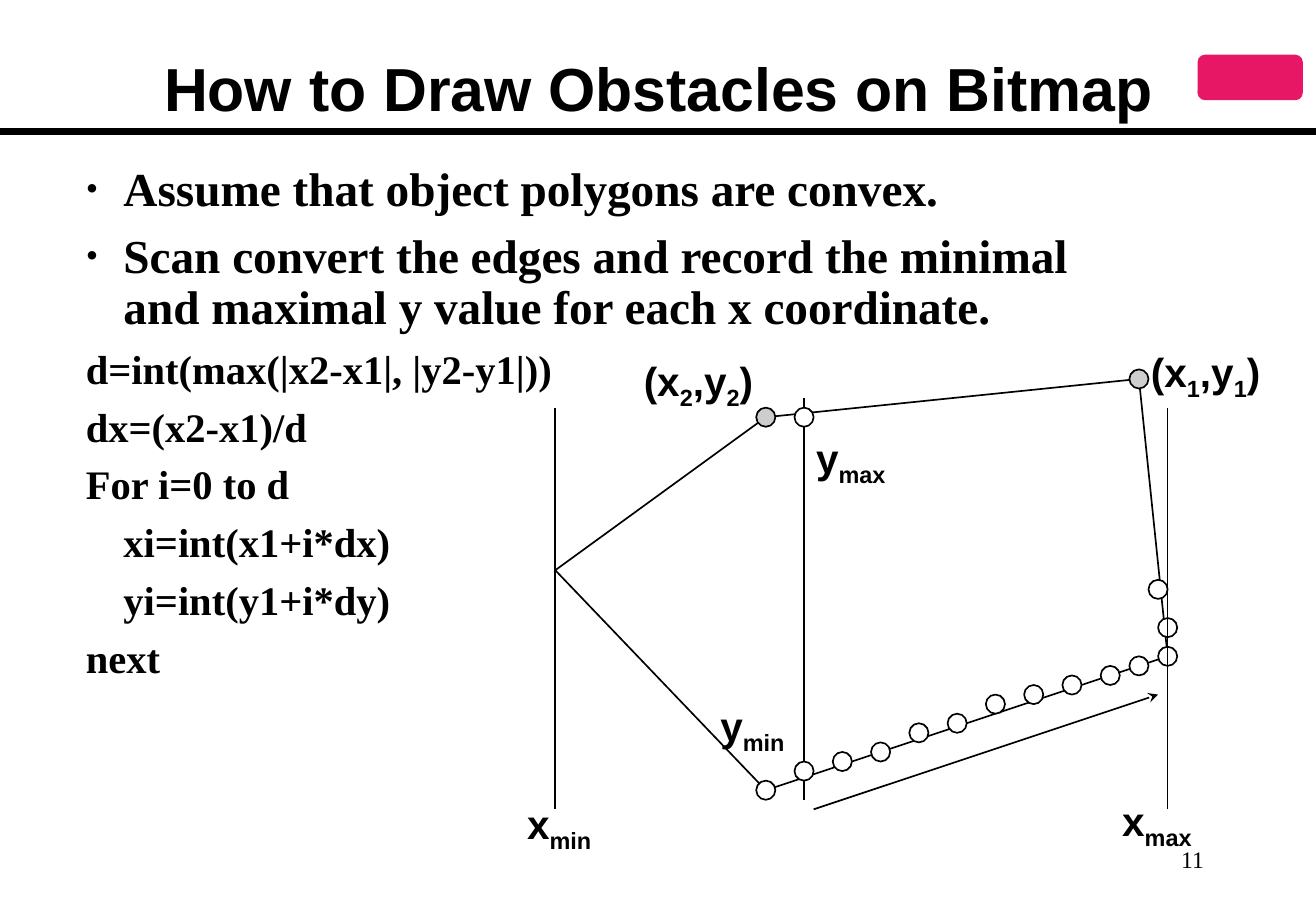
from dataclasses import dataclass
from lxml import etree
from pptx import Presentation
from pptx import util as u
from pptx.dml.color import RGBColor
from pptx.enum import shapes, text
from pptx.oxml.ns import qn


@dataclass
class Theme:
    ink: str = "000000"
    paper: str = "FFFFFF"
    grey: str = "CECECE"
    mark: str = "E81766"
    sans: str = "Arial"
    serif: str = "Times New Roman"
    title: int = 36
    list: int = 28
    code: int = 24
    label: int = 24
    page: int = 14


class Board:
    cell = u.Cm(0.2)
    left = u.Inches(4.57)
    top = u.Inches(3.12)

    def __init__(self, deck, theme):
        self.theme = theme
        self.wide, self.high = deck.slide_width, deck.slide_height
        self.slide = deck.slides.add_slide(deck.slide_layouts[1])
        self.shapes = self.slide.shapes

    def spot(self, col, row):
        return (u.Emu(int(self.left + col * self.cell)),
                u.Emu(int(self.top + row * self.cell)))

    def share(self, x, y, w, h):
        return (int(x * self.wide), int(y * self.high),
                int(w * self.wide), int(h * self.high))

    def place(self, shape, *box):
        shape.left, shape.top, shape.width, shape.height = self.share(*box)
        shape.text_frame.auto_size = text.MSO_AUTO_SIZE.NONE
        return shape.text_frame

    def font(self, para, name, size, bold=True):
        font = para.font
        font.name, font.size, font.bold = name, u.Pt(size), bold
        font.color.rgb = RGBColor.from_string(self.theme.ink)

    def paint(self, shape, fill=None, edge=True):
        shape.shadow.inherit = False
        if fill:
            shape.fill.solid()
            shape.fill.fore_color.rgb = RGBColor.from_string(fill)
        else:
            shape.fill.background()
        if edge:
            shape.line.color.rgb = RGBColor.from_string(self.theme.ink)
            shape.line.width = u.Pt(1)
        else:
            shape.line.fill.background()

    def title(self, words, *box):
        frame = self.place(self.shapes.title, *box)
        frame.vertical_anchor = text.MSO_ANCHOR.BOTTOM
        frame.text = words
        para = frame.paragraphs[0]
        para.alignment = text.PP_ALIGN.CENTER
        para.line_spacing = 0.9
        self.font(para, self.theme.sans, self.theme.title)

    def body(self, items, *box):
        frame = self.place(self.slide.placeholders[1], *box)
        frame.vertical_anchor = text.MSO_ANCHOR.TOP
        frame.text = "\n".join(words for words, kind in items)
        for para, (words, kind) in zip(frame.paragraphs, items):
            point = kind == "point"
            size = self.theme.list if point else self.theme.code
            props = para._p.get_or_add_pPr()
            props.set("marL", str(u.Inches(0.31)))
            props.set("indent", str(0 if kind == "inner" else u.Inches(-0.31)))
            if point:
                etree.SubElement(props, qn("a:buSzPct"), val="75000")
                etree.SubElement(props, qn("a:buFont"), typeface=self.theme.serif)
                etree.SubElement(props, qn("a:buChar"), char="•")
            else:
                etree.SubElement(props, qn("a:buNone"))
            para.line_spacing = 0.9
            para.space_before = u.Pt(size * 0.35)
            self.font(para, self.theme.serif, size)

    def page(self, words, *box):
        frame = self.shapes.add_textbox(*self.share(*box)).text_frame
        frame.word_wrap = True
        frame.vertical_anchor = text.MSO_ANCHOR.MIDDLE
        frame.text = words
        para = frame.paragraphs[0]
        para.alignment = text.PP_ALIGN.RIGHT
        self.font(para, self.theme.serif, self.theme.page, False)

    def label(self, parts, col, row, cols):
        box = self.shapes.add_textbox(
            *self.spot(col, row), int(cols * self.cell), u.Inches(0.5))
        box.text_frame.word_wrap = False
        para = box.text_frame.paragraphs[0]
        self.font(para, self.theme.sans, self.theme.label)
        for spot, words in enumerate(parts):
            run = para.add_run()
            run.text = words
            if spot % 2:
                run._r.get_or_add_rPr().set("baseline", "-25000")

    def line(self, start, end, width=1, arrow=False):
        line = self.shapes.add_connector(
            shapes.MSO_CONNECTOR.STRAIGHT, *start, *end)
        line.line.color.rgb = RGBColor.from_string(self.theme.ink)
        line.line.width = u.Pt(width)
        if arrow:
            etree.SubElement(line.line._get_or_add_ln(),
                             qn("a:tailEnd"), type="stealth")
        etree.SubElement(line._element.spPr, qn("a:effectLst"))

    def dot(self, col, row, fill):
        size = 2 * self.cell
        dot = self.shapes.add_shape(
            shapes.MSO_SHAPE.OVAL, *self.spot(col - 1, row - 1), size, size)
        self.paint(dot, fill)

    def outline(self, points):
        first, *rest = [self.spot(*point) for point in points]
        pen = self.shapes.build_freeform(*first)
        pen.add_line_segments(rest, close=True)
        self.paint(pen.convert_to_shape())

    def badge(self, *box):
        badge = self.shapes.add_shape(
            shapes.MSO_SHAPE.ROUNDED_RECTANGLE, *self.share(*box))
        self.paint(badge, self.theme.mark, edge=False)


deck = Presentation()
deck.slide_width, deck.slide_height = u.Inches(10.83), u.Inches(7.5)
theme = Theme()
board = Board(deck, theme)

rule = int(0.144 * board.high)
board.line((0, rule), (board.wide, rule), width=4)
board.badge(0.91, 0.06, 0.08, 0.05)
board.page("11", 0.716, 0.91, 0.208, 0.067)
board.title("How to Draw Obstacles on Bitmap", 0.085, 0.01, 0.831, 0.134)
board.body([
    ("Assume that object polygons are convex.", "point"),
    ("Scan convert the edges and record the minimal and maximal y value "
     "for each x coordinate.", "point"),
    ("d=int(max(|x2-x1|, |y2-y1|))", "code"),
    ("dx=(x2-x1)/d", "code"),
    ("For i=0 to d", "code"),
    ("xi=int(x1+i*dx)", "inner"),
    ("yi=int(y1+i*dy)", "inner"),
    ("next", "code"),
], 0.056, 0.175, 0.8, 0.744)

board.outline([(22, 4), (0, 20), (22, 43), (64, 29), (61, 0)])
edge = [(22, 43), (30, 40), (34, 39), (38, 37), (42, 36), (46, 34), (50, 33),
        (54, 32), (58, 31), (61, 30), (64, 29), (64, 26), (63, 22)]
for dot in edge:
    board.dot(*dot, theme.paper)
for col, top, end in [(0, 3, 45), (64, 3, 45), (26, 2, 44)]:
    board.line(board.spot(col, top), board.spot(col, end))
board.line(board.spot(27, 45), board.spot(63, 33), arrow=True)
for row in (4, 41):
    board.dot(26, row, theme.paper)
for dot in [(22, 4), (61, 0)]:
    board.dot(*dot, theme.grey)

for parts, col, row, cols in [
    (("x", "min"), -4.2, 43.3, 10),
    (("x", "max"), 58, 43, 10.5),
    (("y", "max"), 26, 5, 10.5),
    (("y", "min"), 16, 33, 10),
    (("(x", "1", ",y", "1", ")"), 61, -4, 14.4),
    (("(x", "2", ",y", "2", ")"), 8, -3, 14.4),
]:
    board.label(parts, col, row, cols)

deck.save("out.pptx")
